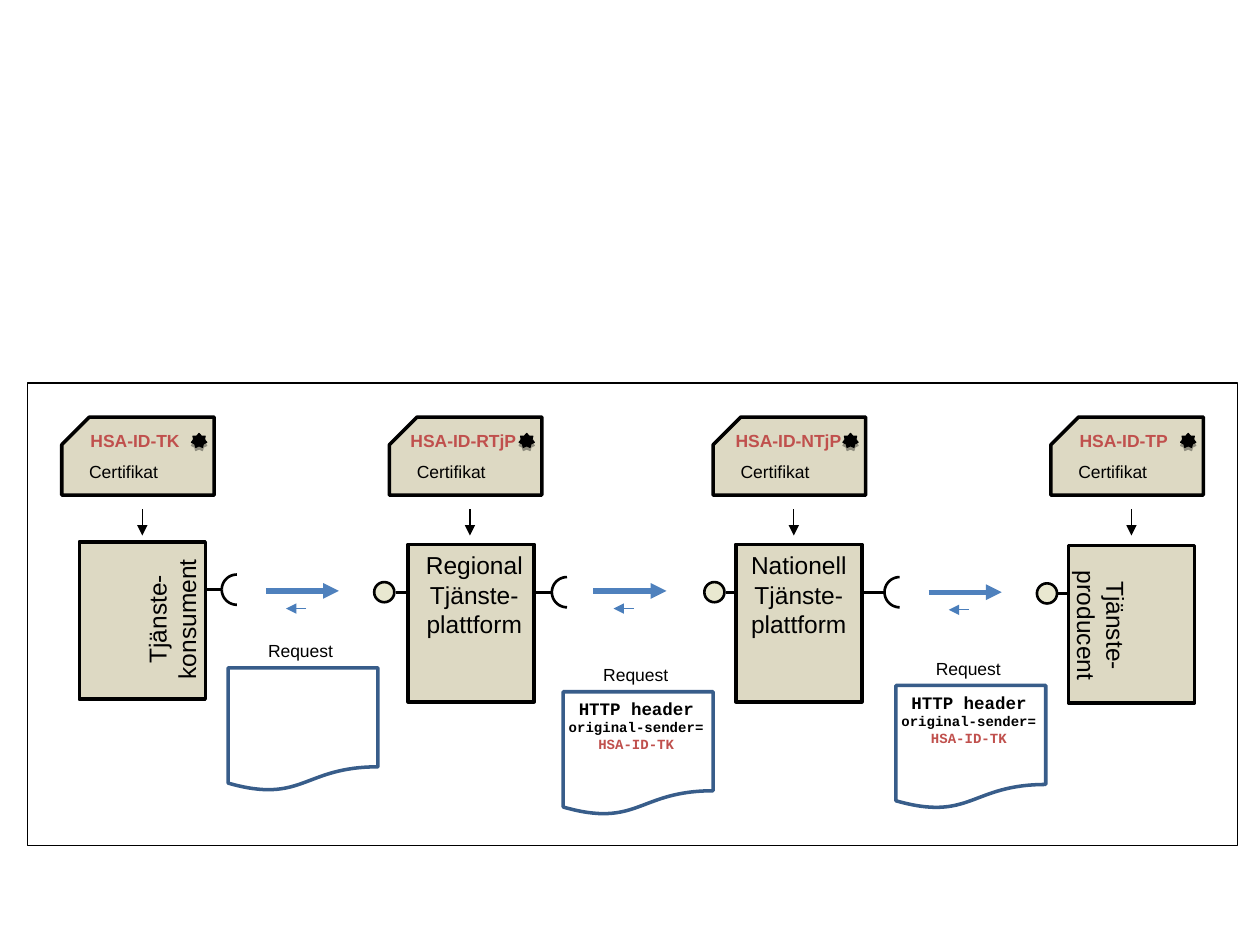
import math
from dataclasses import dataclass
from typing import Optional

import lxml.etree
import pptx
import pptx.dml.color
import pptx.enum.shapes
import pptx.enum.text
import pptx.oxml.ns
import pptx.util

Inches = pptx.util.Inches
Kind = pptx.enum.shapes.MSO_SHAPE
Align = pptx.enum.text.PP_ALIGN


@dataclass(frozen=True)
class Theme:
    ink: str = "000000"
    accent: str = "C0504D"
    panel: str = "DDD9C3"
    ball: str = "E9E8D0"
    paper: str = "FFFFFF"
    paper_edge: str = "385D8A"
    request_arrow: str = "4F81BD"
    reply_arrow: str = "4A7EBB"
    sans: str = "Arial"
    mono: str = "Courier New"
    name_size: float = 14
    label_size: float = 10
    code_size: float = 8
    hairline: float = 0.75
    wire: float = 1.5
    outline: float = 2
    heavy: float = 3


THEME = Theme()


@dataclass(frozen=True)
class Line:
    text: str
    size: float
    color: str
    font: str = THEME.sans
    bold: bool = False


@dataclass(frozen=True)
class Service:
    left: float
    top: float
    name: tuple[str, ...]
    name_area: tuple[float, float, float, float]
    certificate_left: float
    identity: str
    identity_inset: float
    identity_width: float
    rotation: float = 0
    ball_left: Optional[float] = None
    socket_left: Optional[float] = None


@dataclass(frozen=True)
class Request:
    left: float
    top: float
    has_header: bool = True


ARROWS = ((2.11, 4.69), (4.71, 4.69), (7.37, 4.7))
SERVICES = (
    Service(0.63, 4.3, ("Tjänste-", "konsument"), (0.75, 4.63, 1.23, 0.57),
            0.49, "HSA-ID-TK", 0.13, 0.96, rotation=270, socket_left=1.76),
    Service(3.24, 4.32, ("Regional", "Tjänste-", "plattform"), (3.25, 4.32, 1.03, 0.8),
            3.09, "HSA-ID-RTjP", 0.07, 1.1, ball_left=2.97, socket_left=4.38),
    Service(5.84, 4.32, ("Nationell", "Tjänste-", "plattform"), (5.83, 4.32, 1.02, 0.8),
            5.66, "HSA-ID-NTjP", 0.08, 1.1, ball_left=5.59, socket_left=7.02),
    Service(8.48, 4.33, ("Tjänste-", "producent"), (8.17, 4.68, 1.14, 0.57),
            8.34, "HSA-ID-TP", 0.13, 0.96, rotation=90, ball_left=8.23),
)
REQUESTS = (Request(1.81, 5.3, False), Request(4.47, 5.49), Request(7.11, 5.44))


def rgb(color: str) -> pptx.dml.color.RGBColor:
    return pptx.dml.color.RGBColor.from_string(color)


def style_shape(shape, fill: Optional[str], line: str, width: float) -> None:
    shape.shadow.inherit = False
    if fill is None:
        shape.fill.background()
    else:
        shape.fill.solid()
        shape.fill.fore_color.rgb = rgb(fill)
    shape.line.color.rgb = rgb(line)
    shape.line.width = pptx.util.Pt(width)


def add_shape(page, kind, area: tuple, fill: Optional[str], line: str, width: float):
    shape = page.shapes.add_shape(kind, *map(Inches, area))
    style_shape(shape, fill, line, width)
    return shape


def add_outline(page, corners: list[tuple], fill: Optional[str], width: float,
                close: bool) -> None:
    points = [(Inches(x), Inches(y)) for x, y in corners]
    builder = page.shapes.build_freeform(*points[0])
    builder.add_line_segments(points[1:], close=close)
    style_shape(builder.convert_to_shape(), fill, THEME.ink, width)


def add_line(page, start: tuple, end: tuple, color: str, width: float,
             arrow: bool = False) -> None:
    connector = page.shapes.add_connector(
        pptx.enum.shapes.MSO_CONNECTOR.STRAIGHT, *map(Inches, start + end))
    connector.line.color.rgb = rgb(color)
    connector.line.width = pptx.util.Pt(width)
    if arrow:
        lxml.etree.SubElement(connector.line._get_or_add_ln(),
                              pptx.oxml.ns.qn("a:tailEnd"), type="triangle")
    lxml.etree.SubElement(connector._element.spPr, pptx.oxml.ns.qn("a:effectLst"))


def add_text(page, area: tuple, lines: list[Line], align=Align.CENTER,
             rotation: float = 0, wrap: bool = False) -> None:
    box = page.shapes.add_textbox(*map(Inches, area))
    box.rotation = rotation
    frame = box.text_frame
    frame.word_wrap = wrap
    frame.auto_size = pptx.enum.text.MSO_AUTO_SIZE.SHAPE_TO_FIT_TEXT
    for index, line in enumerate(lines):
        para = frame.add_paragraph() if index else frame.paragraphs[0]
        para.alignment = align
        span = para.add_run()
        span.text = line.text
        span.font.color.rgb = rgb(line.color)
        formats = {"name": line.font, "size": pptx.util.Pt(line.size), "bold": line.bold}
        for attribute, value in formats.items():
            setattr(span.font, attribute, value)


def add_seal(page, left: float) -> None:
    seal = add_shape(page, Kind.STAR_7_POINT, (left, 3.44, 0.12, 0.11),
                     THEME.ink, THEME.ink, THEME.hairline)
    effects = seal._element.spPr.find(pptx.oxml.ns.qn("a:effectLst"))
    shadow = lxml.etree.SubElement(effects, pptx.oxml.ns.qn("a:outerShdw"),
                                   dist="22860", dir="5400000", rotWithShape="0")
    color = lxml.etree.SubElement(shadow, pptx.oxml.ns.qn("a:srgbClr"), val=THEME.ink)
    lxml.etree.SubElement(color, pptx.oxml.ns.qn("a:alpha"), val="35000")


def add_certificate(page, service: Service) -> None:
    left, top, width, height, cut = service.certificate_left, 3.31, 1.21, 0.62, 0.22
    right, bottom = left + width, top + height
    add_outline(page, [(right, top), (left + cut, top), (left, top + cut),
                       (left, bottom), (right, bottom)], THEME.panel, THEME.outline, True)
    add_text(page, (left + 0.12, 3.61, 0.8, 0.27),
             [Line("Certifikat", THEME.label_size, THEME.ink)], Align.LEFT)
    add_seal(page, left + 1.03)
    add_line(page, (left + 0.64, 4.04), (left + 0.64, 4.25),
             THEME.ink, THEME.hairline, arrow=True)
    add_text(page, (left + service.identity_inset, 3.36, service.identity_width, 0.27),
             [Line(service.identity, THEME.label_size, THEME.accent, bold=True)], Align.LEFT)


def add_socket(page, left: float, y: float) -> None:
    radius, steps = 0.12, 12
    add_line(page, (left, y), (left - 0.3, y), THEME.ink, THEME.wire)
    for side in (-1, 1):
        angles = [math.pi / 2 * step / steps for step in range(steps + 1)]
        curve = [(left + radius - radius * math.cos(angle),
                  y + side * radius * math.sin(angle)) for angle in angles]
        add_outline(page, curve, None, THEME.wire, False)


def add_service(page, service: Service) -> None:
    wire_y = service.top + 0.38
    if service.socket_left is not None:
        add_socket(page, service.socket_left, wire_y)
    if service.ball_left is not None:
        ball = service.ball_left
        add_line(page, (ball + 0.52, wire_y), (ball + 0.17, wire_y), THEME.ink, THEME.wire)
        add_shape(page, Kind.OVAL, (ball, wire_y - 0.08, 0.16, 0.16),
                  THEME.ball, THEME.ink, THEME.wire)
    add_shape(page, Kind.RECTANGLE, (service.left, service.top, 1, 1.25),
              THEME.panel, THEME.ink, THEME.outline)
    add_text(page, service.name_area,
             [Line(text, THEME.name_size, THEME.ink) for text in service.name],
             rotation=service.rotation)
    add_certificate(page, service)


def add_request(page, request: Request) -> None:
    left, top = request.left, request.top
    add_shape(page, Kind.FLOWCHART_DOCUMENT, (left, top, 1.19, 0.98),
              THEME.paper, THEME.paper_edge, THEME.outline)
    add_text(page, (left + 0.17, top - 0.27, 0.81, 0.27),
             [Line("Request", THEME.label_size, THEME.ink)])
    if request.has_header:
        add_text(page, (left - 0.06, top, 1.28, 0.87), [
            Line("HTTP header", THEME.label_size, THEME.ink, THEME.mono, True),
            Line("original-sender=", THEME.code_size, THEME.ink, THEME.mono, True),
            Line("HSA-ID-TK", THEME.code_size, THEME.accent, THEME.mono, True),
        ], wrap=True)


def main() -> None:
    deck = pptx.Presentation()
    deck.slide_width, deck.slide_height = Inches(10), Inches(7.5)
    page = deck.slides.add_slide(deck.slide_layouts[6])
    add_shape(page, Kind.RECTANGLE, (0.22, 3.04, 9.6, 3.67), None, THEME.ink, THEME.hairline)
    for left, y in ARROWS:
        add_line(page, (left, y), (left + 0.58, y), THEME.request_arrow, THEME.heavy, True)
        add_line(page, (left + 0.32, y + 0.14), (left + 0.16, y + 0.14),
                 THEME.reply_arrow, THEME.hairline, True)
    for service in SERVICES:
        add_service(page, service)
    for request in REQUESTS:
        add_request(page, request)
    deck.save("out.pptx")


if __name__ == "__main__":
    main()
